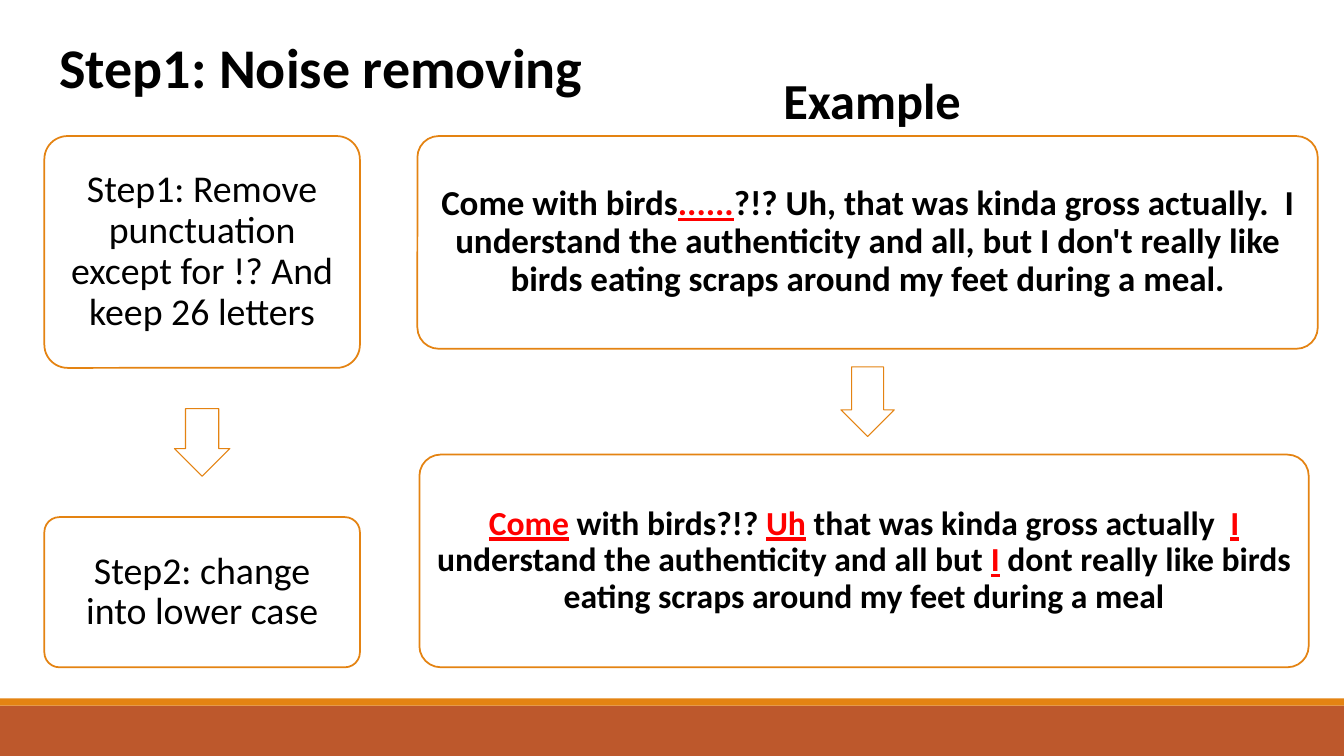
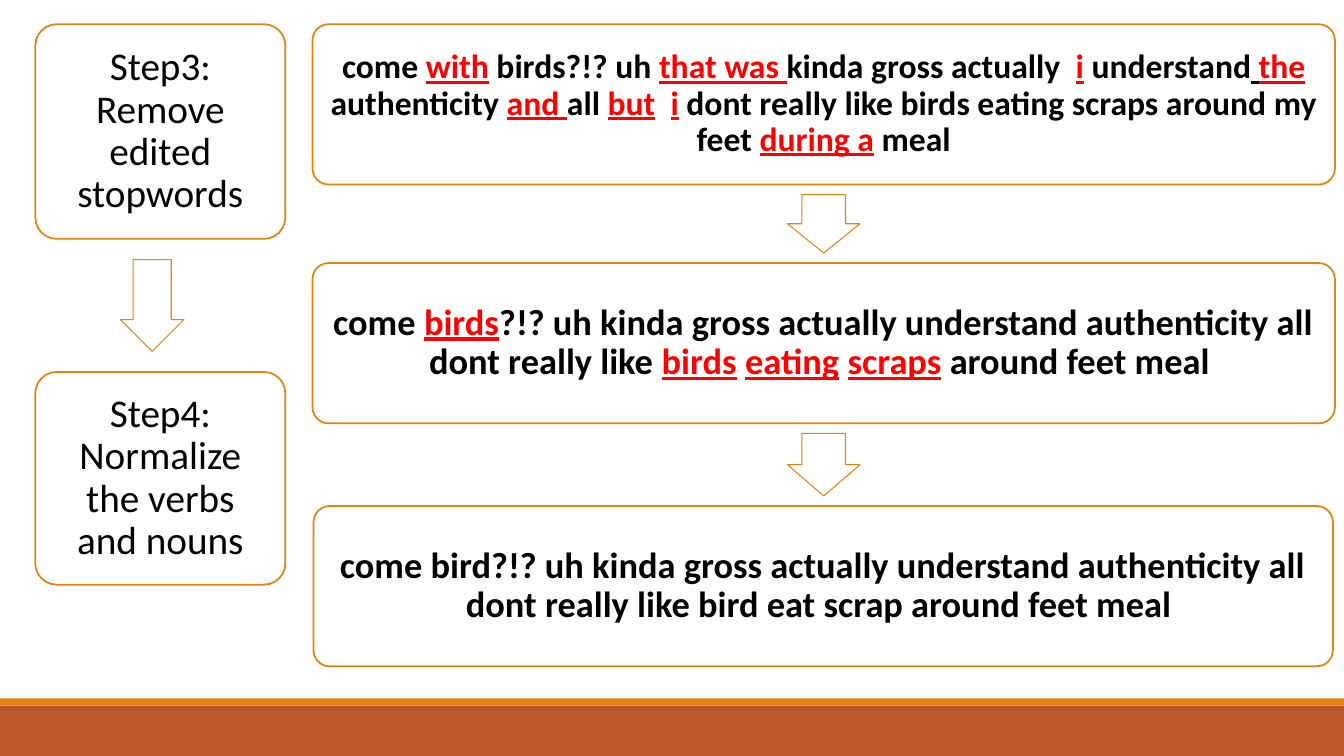
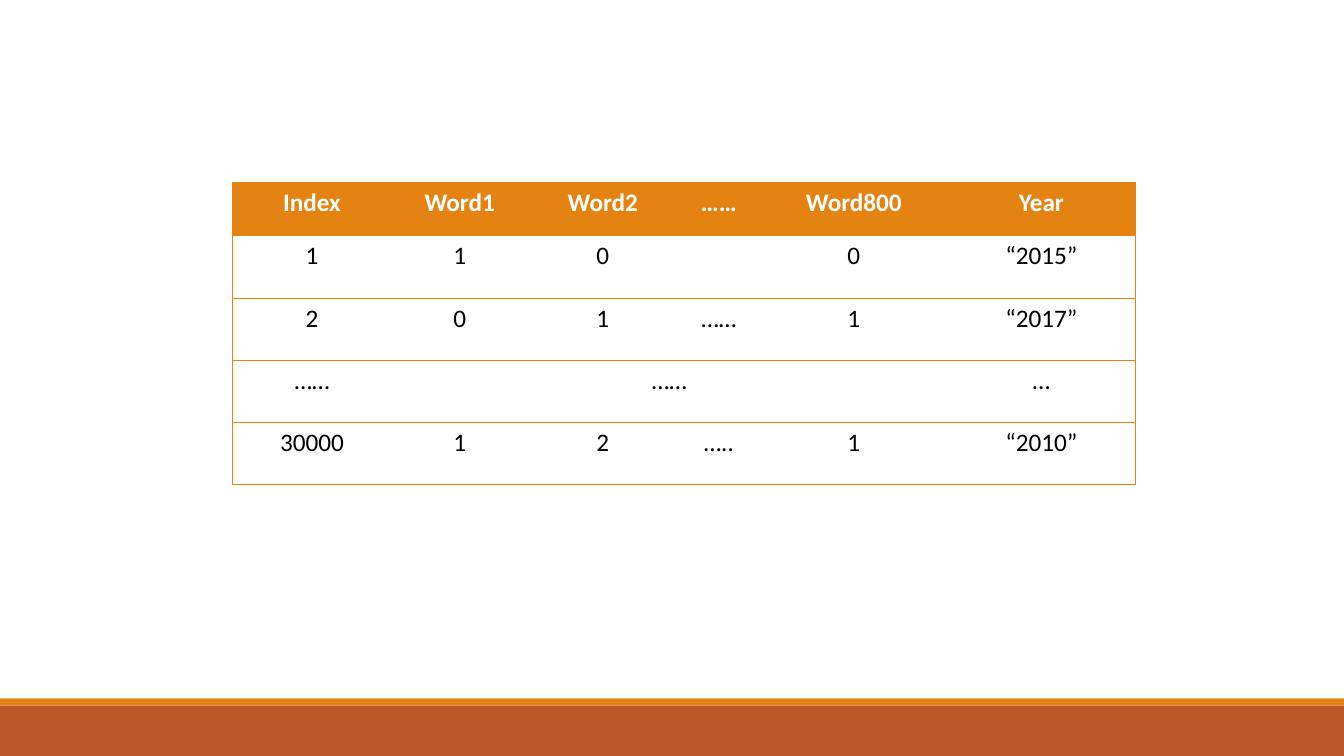
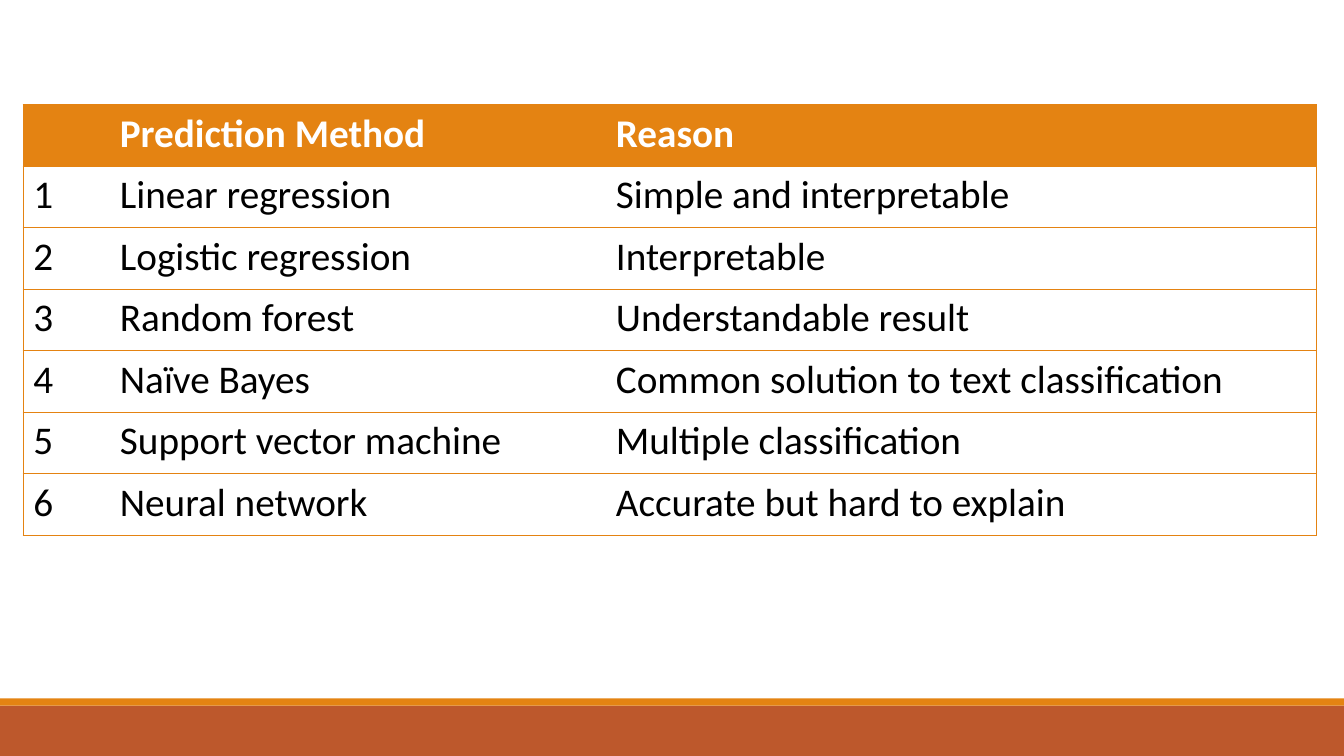
from dataclasses import dataclass

from lxml import etree
from pptx import Presentation
from pptx import util as u
from pptx.dml.color import RGBColor
from pptx.enum import shapes, text
from pptx.oxml import ns

FONT = "Calibri"
ORANGE, RUST, BLACK, WHITE, RED = "E48312", "BD582C", "000000", "FFFFFF", "FF0000"
NO_STYLE = "{2D5ABB26-0587-4C30-8999-92F81FD0307C}"
PAGE_WIDTH, PAGE_HEIGHT = 13.33, 7.5


@dataclass
class Card:
    """A rounded box; in its words _ toggles underline and * toggles red."""
    left: float
    top: float
    width: float
    height: float
    words: str
    size: float
    bold: bool = False
    inset: float = 0.11


@dataclass
class Arrow:
    width: float
    height: float
    shift: float = 0


@dataclass
class Heading:
    left: float
    top: float
    width: float
    height: float
    words: str
    size: float


@dataclass
class Grid:
    left: float
    top: float
    columns: list[float]
    heights: list[float]
    rows: list[list[str]]
    size: float
    align: text.PP_ALIGN


# Shared helpers
def colour(value: str) -> RGBColor:
    return RGBColor.from_string(value)


def set_font(font, size: float, ink: str, bold: bool) -> None:
    font.name, font.size, font.bold = FONT, u.Pt(size), bold
    font.color.rgb = colour(ink)


def add_box(page, kind, left: float, top: float, width: float, height: float,
            fill: str, line: str = "", weight: float = 0):
    box = page.shapes.add_shape(kind, *map(u.Inches, (left, top, width, height)))
    box.shadow.inherit = False
    box.fill.solid()
    box.fill.fore_color.rgb = colour(fill)
    if line:
        box.line.color.rgb = colour(line)
        box.line.width = u.Pt(weight)
    else:
        box.line.fill.background()
    return box


def add_master_bands(deck, page) -> None:
    """Draw the footer bands once, then hand them to the slide master."""
    for top, height, fill in ((7, 0.5, RUST), (6.93, 0.07, ORANGE)):
        band = add_box(page, shapes.MSO_SHAPE.RECTANGLE, 0, top, PAGE_WIDTH, height, fill)
        deck.slide_master.shapes.element.append(band.element)


# Text and flow parts
def add_heading(page, heading: Heading) -> None:
    box = page.shapes.add_textbox(*map(u.Inches, (
        heading.left, heading.top, heading.width, heading.height)))
    box.text_frame.word_wrap = True
    para = box.text_frame.paragraphs[0]
    para.text = heading.words
    set_font(para.font, heading.size, BLACK, True)


def add_card(page, card: Card) -> None:
    box = add_box(page, shapes.MSO_SHAPE.ROUNDED_RECTANGLE, card.left, card.top,
                  card.width, card.height, WHITE, ORANGE, 1.25)
    box.adjustments[0] = 0.1
    frame = box.text_frame
    frame.word_wrap = True
    frame.vertical_anchor = text.MSO_ANCHOR.MIDDLE
    frame.margin_left = frame.margin_right = u.Inches(card.inset)
    frame.margin_top = frame.margin_bottom = u.Inches(card.inset)
    para = frame.paragraphs[0]
    para.alignment = text.PP_ALIGN.CENTER
    para.line_spacing = 0.9
    set_font(para.font, card.size, BLACK, card.bold)
    for i, part in enumerate(card.words.split("_")):
        for j, piece in enumerate(part.split("*")):
            if not piece:
                continue
            span = para.add_run()
            span.text = piece
            span.font.color.rgb = colour(RED if j % 2 else BLACK)
            if i % 2:
                span.font.underline = True


def add_flow(page, cards: list[Card], arrows: list[Arrow]) -> None:
    """Draw a column of cards with an arrow centred in each gap."""
    for card in cards:
        add_card(page, card)
    for above, below, arrow in zip(cards, cards[1:], arrows):
        centre = above.left + above.width / 2 + arrow.shift
        middle = (above.top + above.height + below.top) / 2
        box = add_box(page, shapes.MSO_SHAPE.DOWN_ARROW, centre - arrow.width / 2,
                      middle - arrow.height / 2, arrow.width, arrow.height,
                      WHITE, ORANGE, 0.75)
        box.adjustments[0], box.adjustments[1] = 0.6, 0.5


# Tables
def set_borders(cell, sides: str) -> None:
    """Draw 1 pt borders on the named sides; the cell's fill must be set already."""
    properties = cell._tc.get_or_add_tcPr()
    for index, side in enumerate("LRTB"):
        line = etree.Element(ns.qn(f"a:ln{side}"), w=str(u.Pt(1)))
        if side in sides:
            fill = etree.SubElement(line, ns.qn("a:solidFill"))
            etree.SubElement(fill, ns.qn("a:srgbClr"), val=ORANGE)
        else:
            etree.SubElement(line, ns.qn("a:noFill"))
        properties.insert(index, line)


def add_grid(page, grid: Grid):
    frame = page.shapes.add_table(
        len(grid.rows), len(grid.columns), u.Inches(grid.left), u.Inches(grid.top),
        u.Inches(sum(grid.columns)), u.Inches(sum(grid.heights)))
    table = frame.table
    table.horz_banding = False
    next(frame.element.iter(ns.qn("a:tableStyleId"))).text = NO_STYLE
    for column, width in zip(table.columns, grid.columns):
        column.width = u.Inches(width)
    for row, height in zip(table.rows, grid.heights):
        row.height = u.Inches(height)
    last = len(grid.columns) - 1
    for r, row in enumerate(grid.rows):
        for c, words in enumerate(row):
            cell, header = table.cell(r, c), r == 0
            if header:
                cell.fill.solid()
                cell.fill.fore_color.rgb = colour(ORANGE)
            else:
                cell.fill.background()
            set_borders(cell, "TB" + "L" * (c == 0) + "R" * (c == last))
            para = cell.text_frame.paragraphs[0]
            para.text = words
            para.alignment = grid.align
            set_font(para.font, grid.size, WHITE if header else BLACK, header)
    return table


# Slides
def build_noise_removing(page) -> None:
    add_flow(page, [
        Card(0.44, 1.35, 3.13, 2.3,
             "Step1: Remove punctuation except for !? And keep 26 letters", 27),
        Card(0.44, 5.13, 3.13, 1.49, "Step2: change into lower case", 27),
    ], [Arrow(0.55, 0.67)])
    add_flow(page, [
        Card(4.14, 1.35, 8.93, 2.11,
             "Come with birds_*......*_?!? Uh, that was kinda gross actually.  I "
             "understand the authenticity and all, but I don't really like birds "
             "eating scraps around my feet during a meal.", 25, True, 0.1),
        Card(4.16, 4.51, 8.82, 2.11,
             "_*Come*_ with birds?!? _*Uh*_ that was kinda gross actually  _*I*_ "
             "understand the authenticity and all but _*I*_ dont really like birds "
             "eating scraps around my feet during a meal", 24, True, 0.1),
    ], [Arrow(0.53, 0.69)])
    add_heading(page, Heading(7.67, 0.64, 2.59, 0.71, "Example", 36))
    add_heading(page, Heading(0.49, 0.27, 5.85, 0.77, "Step1: Noise removing", 40))


def build_stopwords(page) -> None:
    add_flow(page, [
        Card(0.35, 0.24, 2.48, 2.13, "Step3: Remove edited stopwords", 28, inset=0.12),
        Card(0.35, 3.69, 2.48, 2.11, "Step4: Normalize the verbs and nouns", 28,
             inset=0.12),
    ], [Arrow(0.63, 0.91, -0.08)])
    add_flow(page, [
        Card(3.1, 0.24, 10.14, 1.59,
             "come _*with*_ birds?!? uh _*that was *_kinda gross actually  _*i*_ "
             "understand_ *the *_authenticity _*and *_all _*but*_  _*i*_ dont really "
             "like birds eating scraps around my feet _*during a*_ meal", 24, True, 0.1),
        Card(3.1, 2.61, 10.14, 1.59,
             "come _*birds*_?!? uh kinda gross actually understand authenticity all "
             "dont really like _*birds*_ _*eating*_ _*scraps*_ around feet meal ",
             26, True),
        Card(3.11, 5.02, 10.11, 1.59,
             "come bird?!? uh kinda gross actually understand authenticity all dont "
             "really like bird eat scrap around feet meal ", 26, True),
    ], [Arrow(0.72, 0.58), Arrow(0.72, 0.62)])


def build_word_counts(page) -> None:
    table = add_grid(page, Grid(
        2.31, 1.81, [1.57, 1.36, 1.48, 0.82, 1.86, 1.86],
        [0.53, 0.62, 0.62, 0.61, 0.62], [
            ["Index", "Word1", "Word2", "……", "Word800", "Year"],
            ["1", "1", "0", "", "0", "“2015”"],
            ["2", "0", "1", "……", "1", "“2017”"],
            ["……", "……", "", "", "", "…"],
            ["30000", "1", "2", "…..", "1", "“2010”"],
        ], 18, text.PP_ALIGN.CENTER))
    table.cell(3, 1).merge(table.cell(3, 4))


def build_methods(page) -> None:
    methods = [
        ("Linear regression", "Simple and interpretable"),
        ("Logistic regression", "Interpretable"),
        ("Random forest", "Understandable result"),
        ("Naïve Bayes", "Common solution to text classification"),
        ("Support vector machine", "Multiple classification"),
        ("Neural network", "Accurate but hard to explain"),
    ]
    rows = [["", "Prediction Method", "Reason"]]
    rows += [[str(number), *method] for number, method in enumerate(methods, 1)]
    add_grid(page, Grid(0.23, 1.04, [0.86, 4.92, 7.05], [0.61] * len(rows), rows, 28,
                        text.PP_ALIGN.LEFT))


def main() -> None:
    deck = Presentation()
    deck.slide_width, deck.slide_height = u.Inches(PAGE_WIDTH), u.Inches(PAGE_HEIGHT)
    builders = (build_noise_removing, build_stopwords, build_word_counts, build_methods)
    pages = [deck.slides.add_slide(deck.slide_layouts[6]) for _ in builders]
    add_master_bands(deck, pages[0])
    for build, page in zip(builders, pages):
        build(page)
    deck.save("out.pptx")


if __name__ == "__main__":
    main()
